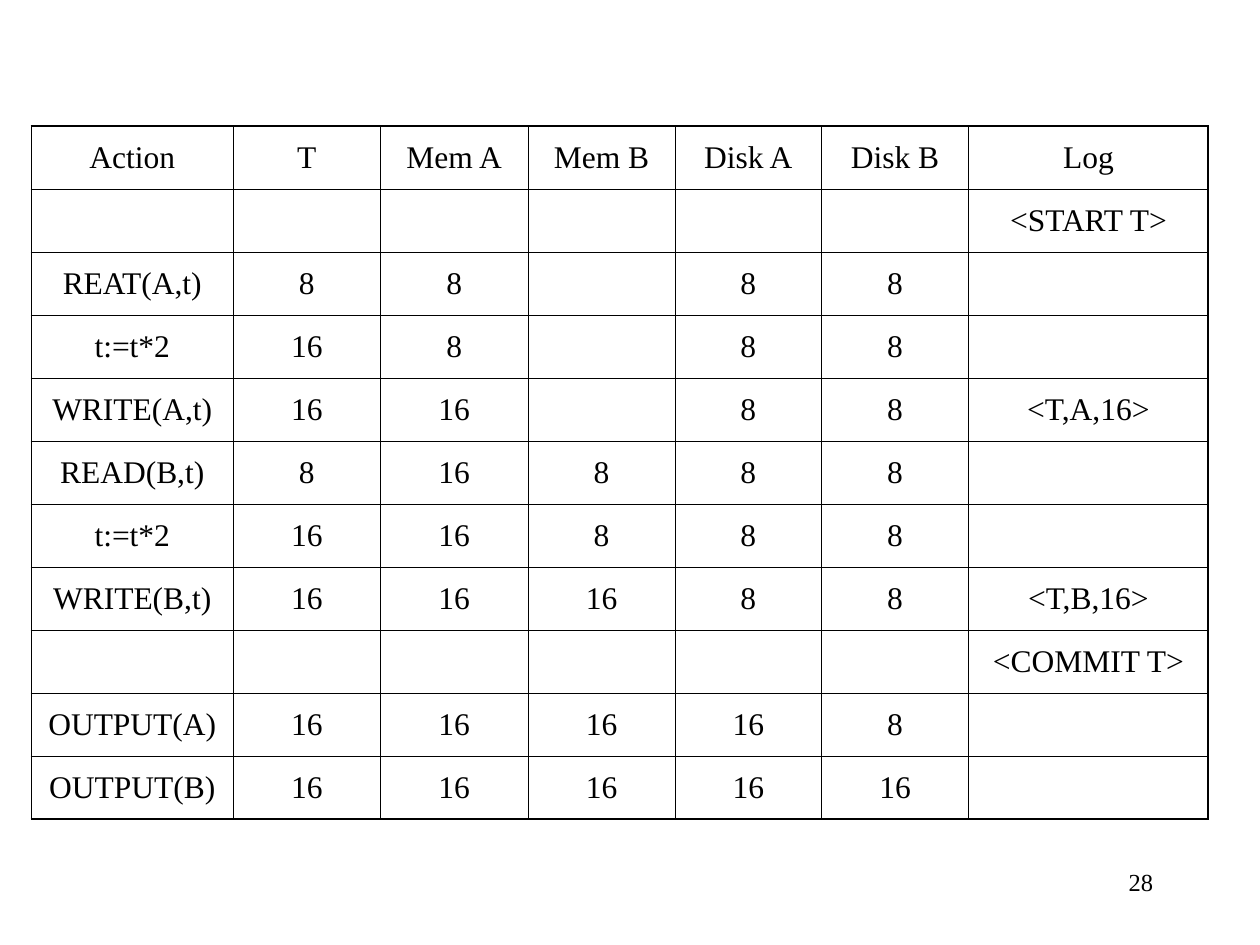
"""Build a slide with a table tracing a transaction and its redo log."""
from lxml import etree
from pptx import Presentation
from pptx import util as u
from pptx.dml.color import RGBColor
from pptx.enum import text
from pptx.oxml.ns import qn

BLACK = "000000"
FONT = {"name": "Times New Roman", "size": u.Pt(18)}
NUMBER_FONT = {**FONT, "size": u.Pt(14)}
CELL = {
    "vertical_anchor": text.MSO_ANCHOR.MIDDLE,
    "margin_left": u.Inches(0.1),
    "margin_right": u.Inches(0.1),
    "margin_top": u.Inches(0.05),
    "margin_bottom": u.Inches(0.05),
}
THIN, THICK = u.Pt(0.45), u.Pt(1.08)
WIDTHS = [1.6, 1.17, 1.17, 1.17, 1.16, 1.17, 1.9]
ROW_HEIGHT = 0.5
ROWS = [
    ["Action", "T", "Mem A", "Mem B", "Disk A", "Disk B", "Log"],
    ["", "", "", "", "", "", "<START T>"],
    ["REAT(A,t)", "8", "8", "", "8", "8", ""],
    ["t:=t*2", "16", "8", "", "8", "8", ""],
    ["WRITE(A,t)", "16", "16", "", "8", "8", "<T,A,16>"],
    ["READ(B,t)", "8", "16", "8", "8", "8", ""],
    ["t:=t*2", "16", "16", "8", "8", "8", ""],
    ["WRITE(B,t)", "16", "16", "16", "8", "8", "<T,B,16>"],
    ["", "", "", "", "", "", "<COMMIT T>"],
    ["OUTPUT(A)", "16", "16", "16", "16", "8", ""],
    ["OUTPUT(B)", "16", "16", "16", "16", "16", ""],
]


def rgb(value):
    return RGBColor.from_string(value)


def write(p, words, align, fmt):
    p.alignment = align
    r = p.add_run()
    r.text = words
    for key, value in fmt.items():
        setattr(r.font, key, value)
    r.font.color.rgb = rgb(BLACK)


prs = Presentation()
prs.slide_width, prs.slide_height = u.Inches(10), u.Inches(7.5)
s = prs.slides.add_slide(prs.slide_layouts[6])

sp = s.shapes.add_textbox(u.Inches(7.17), u.Inches(6.83), u.Inches(2.08), u.Inches(0.5))
tf = sp.text_frame
tf.word_wrap = True
write(tf.paragraphs[0], "28", text.PP_ALIGN.RIGHT, NUMBER_FONT)

last_row, last_col = len(ROWS) - 1, len(WIDTHS) - 1
sp = s.shapes.add_table(
    len(ROWS), len(WIDTHS), u.Inches(0.25), u.Inches(1),
    u.Inches(sum(WIDTHS)), u.Inches(ROW_HEIGHT * len(ROWS)),
)
tbl = sp.table
tbl.first_row = tbl.horz_banding = False
for col, width in zip(tbl.columns, WIDTHS):
    col.width = u.Inches(width)

for i, row in enumerate(ROWS):
    tbl.rows[i].height = u.Inches(ROW_HEIGHT)
    for j, words in enumerate(row):
        cell = tbl.cell(i, j)
        for key, value in CELL.items():
            setattr(cell, key, value)
        if words:
            write(cell.text_frame.paragraphs[0], words, text.PP_ALIGN.CENTER, FONT)
        outer = {"lnL": j == 0, "lnR": j == last_col, "lnT": i == 0, "lnB": i == last_row}
        tc_pr = cell._tc.get_or_add_tcPr()
        for tag, is_outer in outer.items():
            ln = etree.SubElement(tc_pr, qn(f"a:{tag}"), w=str(THICK if is_outer else THIN))
            fill = etree.SubElement(ln, qn("a:solidFill"))
            etree.SubElement(fill, qn("a:srgbClr"), val=BLACK)
        cell.fill.background()

prs.save("out.pptx")
